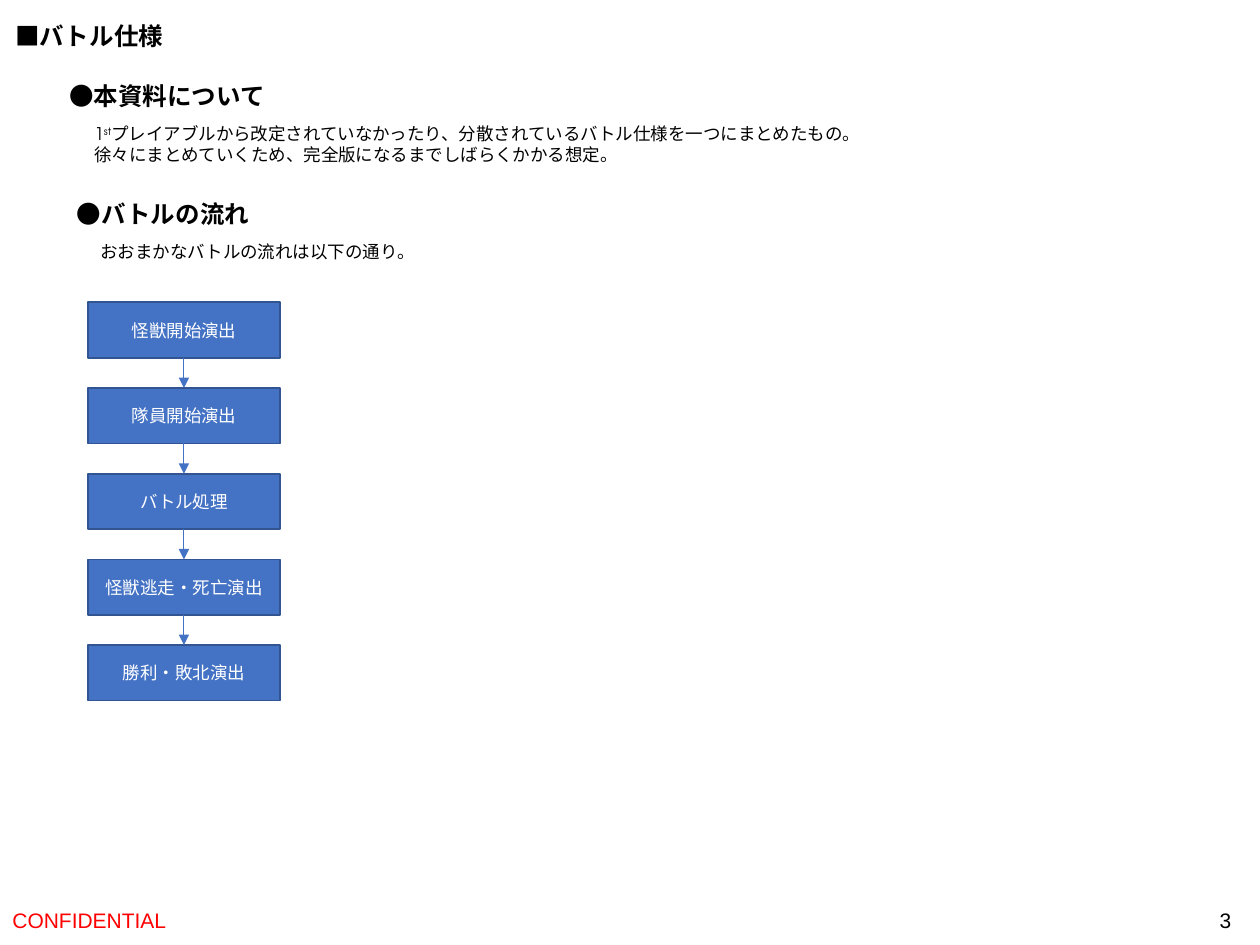
from itertools import pairwise

from lxml.etree import SubElement
from pptx import Presentation
from pptx.dml.color import RGBColor
from pptx.enum.shapes import MSO_CONNECTOR as Connector, MSO_SHAPE as Shape
from pptx.enum.text import MSO_ANCHOR as Anchor, MSO_AUTO_SIZE as AutoSize, PP_ALIGN as Align
from pptx.oxml.ns import qn
from pptx.util import Inches, Pt

COLORS = {
    "text": "000000",
    "confidential": "FF0000",
    "step": "4472C4",
    "step_line": "325491",
    "step_text": "FFFFFF",
}
PLAIN = "Arial"
GOTHIC = "TeX Gyre Adventor"

STEPS = ["怪獣開始演出", "隊員開始演出", "バトル処理", "怪獣逃走・死亡演出", "勝利・敗北演出"]
STEP_LEFT, STEP_TOP, STEP_WIDTH, STEP_HEIGHT, STEP_PITCH = 0.7, 2.4, 1.52, 0.44, 0.68

ABOUT = [
    [("1", 0), ("st", 30),
     ("プレイアブルから改定されていなかったり、分散されているバトル仕様を一つにまとめたもの。", 0)],
    [("徐々にまとめていくため、完全版になるまでしばらくかかる想定。", 0)],
]


def color(name):
    return RGBColor.from_string(COLORS[name])


def place(box, left, top, width, height):
    box.left, box.top = Inches(left), Inches(top)
    box.width, box.height = Inches(width), Inches(height)


def add_span(para, text, size, font=GOTHIC, ink="text", bold=False, raised=0):
    span = para.add_run()
    span.text = text
    span.font.size = Pt(size)
    span.font.name = font
    span.font.bold = bold
    span.font.color.rgb = color(ink)
    if raised:
        span._r.get_or_add_rPr().set("baseline", str(raised * 1000))


def add_title(page, text):
    title = page.shapes.title
    place(title, 0.02, 0.12, 1.38, 0.34)
    frame = title.text_frame
    frame.auto_size = AutoSize.NONE
    frame.word_wrap = False
    frame.vertical_anchor = Anchor.TOP
    para = frame.paragraphs[0]
    para.alignment = Align.LEFT
    add_span(para, text, 14, PLAIN, bold=True)


def add_text(page, bounds, paragraphs, size, bold=False):
    box = page.shapes.add_textbox(*map(Inches, bounds))
    frame = box.text_frame
    frame.word_wrap = False
    for index, spans in enumerate(paragraphs):
        para = frame.add_paragraph() if index else frame.paragraphs[0]
        for text, raised in spans:
            add_span(para, text, size, bold=bold, raised=raised)


def add_footer(page, left, width, text, ink, align):
    box = page.shapes.add_textbox(Inches(left), Inches(7.1), Inches(width), Inches(0.4))
    frame = box.text_frame
    frame.word_wrap = True
    frame.vertical_anchor = Anchor.MIDDLE
    para = frame.paragraphs[0]
    para.alignment = align
    add_span(para, text, 12, PLAIN, ink)


def add_step(page, index, text):
    box = page.shapes.add_shape(
        Shape.RECTANGLE, Inches(STEP_LEFT), Inches(STEP_TOP + index * STEP_PITCH),
        Inches(STEP_WIDTH), Inches(STEP_HEIGHT))
    box.shadow.inherit = False
    box.fill.solid()
    box.fill.fore_color.rgb = color("step")
    box.line.color.rgb = color("step_line")
    box.line.width = Pt(1)
    frame = box.text_frame
    frame.word_wrap = True
    frame.vertical_anchor = Anchor.MIDDLE
    para = frame.paragraphs[0]
    para.alignment = Align.CENTER
    add_span(para, text, 10, ink="step_text")
    return box


def add_arrow(page, upper, lower):
    arrow = page.shapes.add_connector(Connector.STRAIGHT, 0, 0, 0, 0)
    arrow.begin_connect(upper, 2)
    arrow.end_connect(lower, 0)
    arrow.line.color.rgb = color("step")
    arrow.line.width = Pt(0.5)
    SubElement(arrow.line._get_or_add_ln(), qn("a:tailEnd"), type="triangle")
    SubElement(arrow._element.spPr, qn("a:effectLst"))


def main():
    deck = Presentation()
    deck.slide_width, deck.slide_height = Inches(10), Inches(7.5)
    page = deck.slides.add_slide(deck.slide_layouts[5])

    add_title(page, "■バトル仕様")
    add_text(page, (0.45, 0.59, 1.77, 0.34), [[("●本資料について", 0)]], 14, bold=True)
    add_text(page, (0.65, 0.93, 6.38, 0.44), ABOUT, 10)
    add_text(page, (0.51, 1.53, 1.58, 0.34), [[("●バトルの流れ", 0)]], 14, bold=True)
    add_text(page, (0.7, 1.86, 2.73, 0.27), [[("おおまかなバトルの流れは以下の通り。", 0)]], 10)

    steps = [add_step(page, index, text) for index, text in enumerate(STEPS)]
    for upper, lower in pairwise(steps):
        add_arrow(page, upper, lower)

    add_footer(page, 0, 3.38, "CONFIDENTIAL", "confidential", Align.LEFT)
    add_footer(page, 7.62, 2.25, "3", "text", Align.RIGHT)
    deck.save("out.pptx")


if __name__ == "__main__":
    main()
